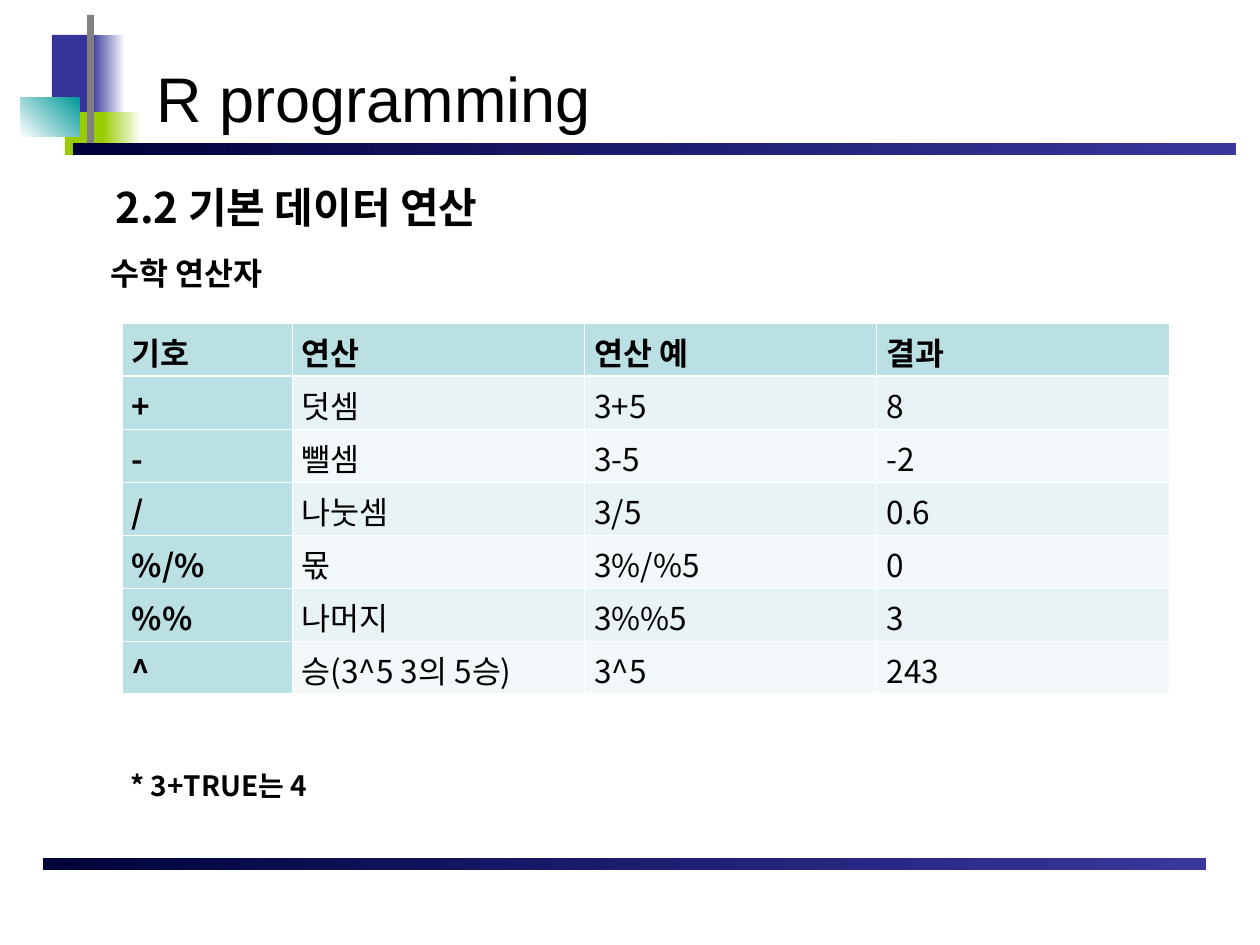
import pptx
import pptx.util
import pptx.dml.color
import pptx.enum.shapes
import pptx.enum.text
import pptx.oxml
import pptx.oxml.ns

PX = 914400 / 126
COLORS = {
    "navy": "00003B", "blue": "000080", "indigo": "333399", "lime": "99CC00",
    "teal": "009999", "gray": "808080", "white": "FFFFFF", "black": "000000",
    "header": "BBE0E3", "odd_row": "E7F3F4", "even_row": "F3F9FA",
}
KOREAN = "Noto Sans CJK KR"
ALIGN = pptx.enum.text.PP_ALIGN
OPERATORS = [
    ("기호", "연산", "연산 예", "결과"),
    ("+", "덧셈", "3+5", "8"),
    ("-", "뺄셈", "3-5", "-2"),
    ("/", "나눗셈", "3/5", "0.6"),
    ("%/%", "몫", "3%/%5", "0"),
    ("%%", "나머지", "3%%5", "3"),
    ("^", "승(3^5 3의 5승)", "3^5", "243"),
]


def px(*lengths):
    return [pptx.util.Emu(round(length * PX)) for length in lengths]


def rgb(name):
    return pptx.dml.color.RGBColor.from_string(COLORS[name])


def add_child(parent, tag, **attributes):
    child = parent.makeelement(pptx.oxml.ns.qn(tag), attributes)
    parent.append(child)
    return child


def write(frame, text, size, face=KOREAN, bold=False, align=ALIGN.JUSTIFY):
    paragraph = frame.paragraphs[0]
    paragraph.alignment = align
    run = paragraph.add_run()
    run.text = text
    formats = {"size": pptx.util.Pt(size), "name": face, "bold": bold}
    for attribute, value in formats.items():
        setattr(run.font, attribute, value)
    run.font.color.rgb = rgb("black")
    add_child(run.font._element, "a:ea", typeface=face)
    return paragraph


def add_block(slide, box, start, end=None, angle=0, end_alpha=None):
    block = slide.shapes.add_shape(
        pptx.enum.shapes.MSO_SHAPE.RECTANGLE, *px(*box))
    block.shadow.inherit = False
    block.line.fill.background()
    if end is None:
        block.fill.solid()
        block.fill.fore_color.rgb = rgb(start)
        return
    block.fill.gradient()
    block.fill.gradient_angle = angle
    for stop, name in zip(block.fill.gradient_stops, (start, end)):
        stop.color.rgb = rgb(name)
    if end_alpha:
        last_color = block._element.spPr.findall(
            ".//" + pptx.oxml.ns.qn("a:srgbClr"))[-1]
        add_child(last_color, "a:alpha", val=str(end_alpha * 1000))


def add_emblem(slide, left, top):
    """Overlapping squares and the upright bar beside the title."""
    for (x, y, width, height), *paint in [
        ((31, 20, 45, 87), "indigo"),
        ((70, 20, 34, 87), "indigo", "white"),
        ((44, 97, 44, 43), "lime"),
        ((82, 97, 38, 43), "lime", "white"),
        ((0, 83, 59, 39), "white", "teal", 45),
        ((66, 0, 7, 130), "gray"),
    ]:
        add_block(slide, (left + x, top + y, width, height), *paint)


def add_rule(slide, left, top):
    add_block(slide, (left, top, 1162, 11), "navy", "blue", end_alpha=78)


def add_title(slide, box, text):
    title = slide.shapes.title
    for side, value in zip(("left", "top", "width", "height"), px(*box)):
        setattr(title, side, value)
    frame = title.text_frame
    frame.auto_size = pptx.enum.text.MSO_AUTO_SIZE.NONE
    frame.vertical_anchor = pptx.enum.text.MSO_ANCHOR.BOTTOM
    write(frame, text, 36, "Arial", align=ALIGN.LEFT)


def add_text(slide, box, text, size, align=ALIGN.JUSTIFY):
    frame = slide.shapes.add_textbox(*px(*box)).text_frame
    frame.word_wrap = True
    return write(frame, text, size, bold=True, align=align)


def add_section_heading(slide, box, text):
    heading = add_text(slide, box, text, 24, ALIGN.LEFT)
    heading.level = 1
    heading._p.get_or_add_pPr().set("marL", str(px(63)[0]))


def add_cell_border(cell, side, width):
    line = add_child(cell._tc.get_or_add_tcPr(), "a:ln" + side,
                     w=str(int(pptx.util.Pt(width))))
    add_child(add_child(line, "a:solidFill"), "a:srgbClr", val=COLORS["white"])


def add_operator_table(slide, box, rows, first_column):
    left, top, width, height = box
    table = slide.shapes.add_table(
        len(rows), len(rows[0]), *px(left, top, width, height)).table
    other_column = (width - first_column) / (len(rows[0]) - 1)
    for index, column in enumerate(table.columns):
        column.width = px(other_column if index else first_column)[0]
    for r, values in enumerate(rows):
        table.rows[r].height = px(height / len(rows))[0]
        for c, value in enumerate(values):
            cell = table.cell(r, c)
            is_header = r == 0 or c == 0
            cell.margin_left = cell.margin_right = px(10)[0]
            write(cell.text_frame, value, 18, bold=is_header)
            # A heavier line parts the header row from the body
            widths = {"L": 0.45, "R": 0.45, "T": 1.47 if r == 1 else 0.45,
                      "B": 1.47 if r == 0 else 0.45}
            for side, border_width in widths.items():
                add_cell_border(cell, side, border_width)
            band = "odd_row" if r % 2 else "even_row"
            cell.fill.solid()
            cell.fill.fore_color.rgb = rgb("header" if is_header else band)


def main():
    deck = pptx.Presentation()
    deck.slide_width, deck.slide_height = px(1260, 945)
    slide = deck.slides.add_slide(deck.slide_layouts[5])

    # Title band and footer rule
    add_emblem(slide, 21, 15)
    add_rule(slide, 74, 144)
    add_title(slide, (144, 35, 1028, 106), "R programming")
    add_rule(slide, 44, 859)

    # Section text
    add_section_heading(slide, (40, 175, 1142, 77), "2.2 기본 데이터 연산")
    add_text(slide, (118, 762, 1047, 47), "* 3+TRUE는 4", 16)
    add_text(slide, (98, 248, 1047, 50), "수학 연산자", 18)

    # Operators
    add_operator_table(slide, (122, 323, 1047, 371), OPERATORS, 170)

    deck.save("out.pptx")


if __name__ == "__main__":
    main()
